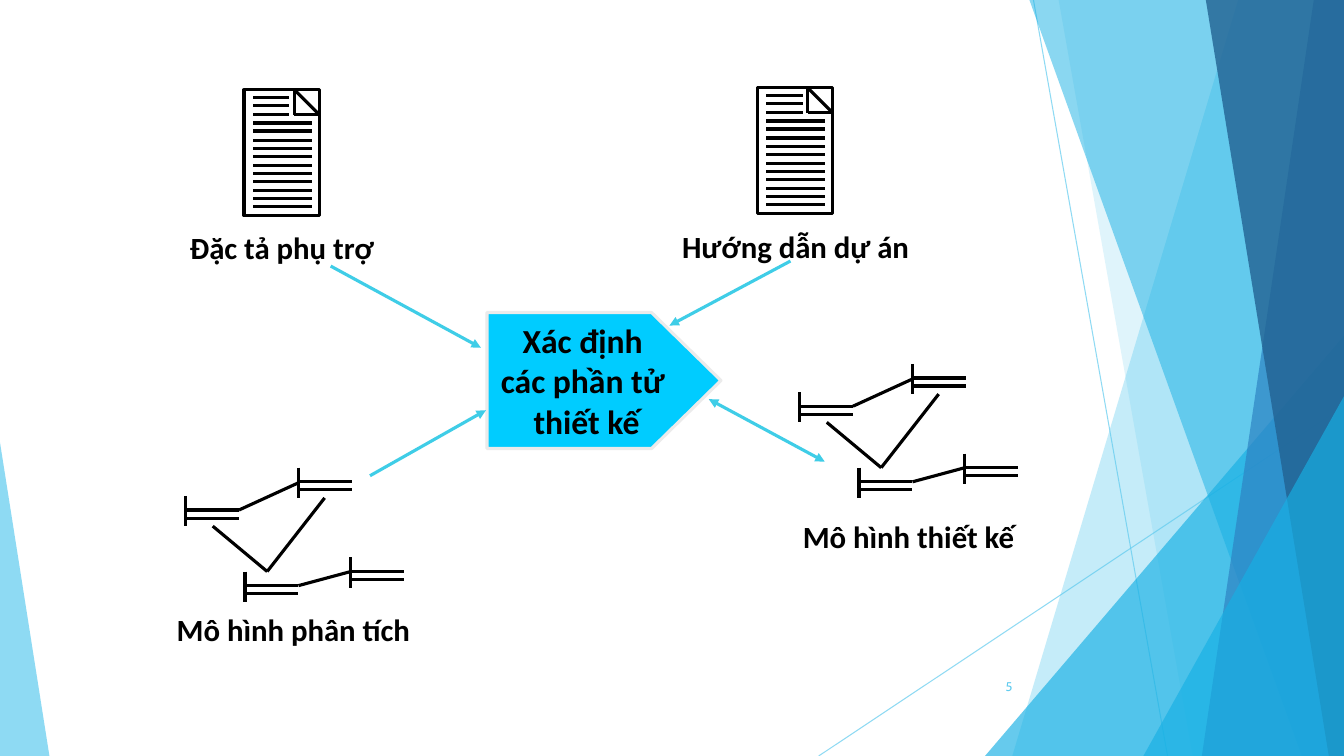
from dataclasses import dataclass
from typing import NamedTuple, Optional

from lxml.etree import SubElement
from pptx import Presentation
from pptx.dml.color import RGBColor
from pptx.enum.shapes import MSO_CONNECTOR, MSO_SHAPE
from pptx.enum.text import MSO_ANCHOR, MSO_AUTO_SIZE, PP_ALIGN
from pptx.oxml.ns import qn
from pptx.util import Pt

PX = 9144  # one hundredth of an inch
WIDTH, HEIGHT = 1333, 750


@dataclass(frozen=True)
class Theme:
    ink: str = "000000"
    arrow: str = "3FCDE7"
    step_fill: str = "00CCFF"
    step_line: str = "EBEBEB"
    sky: str = "5FCBEF"
    azure: str = "17B0E4"
    blue: str = "2E83C3"
    navy: str = "226292"
    font: str = "Calibri"
    number_font: str = "Cabin"
    label_size: int = 22
    step_size: int = 24
    number_size: int = 9
    stroke: float = 2.25
    hairline: float = 0.75


THEME = Theme()


class Point(NamedTuple):
    x: int
    y: int


class Box(NamedTuple):
    left: int
    top: int
    width: int
    height: int

    def emu(self) -> list[int]:
        return [value * PX for value in self]


class Band(NamedTuple):
    """Full-height facet that reaches the right edge of the slide."""
    top_x: int
    bottom_x: int
    color: str
    opacity: int


class Wedge(NamedTuple):
    box: Box
    apex: float
    color: str
    opacity: int


class Arrow(NamedTuple):
    tip: Point
    end: Point
    both: bool = False


class Artifact(NamedTuple):
    text: str
    label: Box
    icon: Point


FACETS = [
    Band(1228, 1004, THEME.sky, 36),
    Band(1050, 1183, THEME.sky, 20),
    Wedge(Box(977, 333, 356, 417), 1, THEME.azure, 66),
    Band(1021, 1291, THEME.azure, 50),
    Band(1303, 1192, THEME.blue, 70),
    Band(1196, 1318, THEME.navy, 80),
    Wedge(Box(1134, 393, 199, 357), 1, THEME.azure, 66),
    Wedge(Box(0, 439, 49, 311), 0, THEME.sky, 70),
]
RAYS = [(Point(1025, 0), Point(1158, HEIGHT)), (Point(WIDTH, 403), Point(812, HEIGHT))]

DOCUMENTS = [
    Artifact("Đặc tả phụ trợ", Box(177, 222, 205, 47), Point(242, 89)),
    Artifact("Hướng dẫn dự án", Box(665, 221, 248, 47), Point(751, 87)),
]
MODELS = [
    Artifact("Mô hình thiết kế", Box(785, 509, 232, 47), Point(793, 361)),
    Artifact("Mô hình phân tích", Box(164, 601, 254, 47), Point(184, 464)),
]
ARROWS = [
    Arrow(Point(818, 458), Point(703, 396), both=True),
    Arrow(Point(477, 345), Point(328, 264)),
    Arrow(Point(482, 407), Point(367, 472)),
    Arrow(Point(664, 323), Point(784, 259)),
]
STEP = Box(483, 310, 232, 135)
STEP_LINES = ["Xác định ", "các phần tử ", "thiết kế"]

# Icon parts, measured from the icon's top left corner
PAGE_WIDTH, PAGE_HEIGHT, FOLD = 75, 125, 25
ROW_COUNT, SHORT_ROWS = 14, 3
CLASSES = [Point(0, 28), Point(112, 0), Point(59, 103), Point(164, 89)]
RELATIONS = [
    (Point(81, 103), Point(27, 58)),
    (Point(53, 42), Point(112, 15)),
    (Point(112, 117), Point(164, 103)),
    (Point(81, 103), Point(138, 30)),
]


def set_opacity(shape, percent: int) -> None:
    for color in shape.element.spPr.iter(qn("a:srgbClr")):
        SubElement(color, qn("a:alpha"), val=str(percent * 1000))


def add_line(canvas, start: Point, end: Point, color: str = THEME.ink, weight: float = THEME.stroke):
    line = canvas.shapes.add_connector(
        MSO_CONNECTOR.STRAIGHT, start.x * PX, start.y * PX, end.x * PX, end.y * PX)
    line.line.color.rgb = RGBColor.from_string(color)
    line.line.width = Pt(weight)
    SubElement(line.element.spPr, qn("a:effectLst"))
    return line


def add_arrow(canvas, arrow: Arrow) -> None:
    line = add_line(canvas, arrow.tip, arrow.end, THEME.arrow)
    outline = line.element.spPr.find(qn("a:ln"))
    for tag in ["a:headEnd", "a:tailEnd"] if arrow.both else ["a:headEnd"]:
        SubElement(outline, qn(tag), type="triangle")


def add_facet(canvas, facet: Band | Wedge) -> None:
    if isinstance(facet, Band):
        outline = canvas.shapes.build_freeform(facet.top_x, 0, scale=PX)
        outline.add_line_segments([(WIDTH, 0), (WIDTH, HEIGHT), (facet.bottom_x, HEIGHT)])
        shape = outline.convert_to_shape()
    else:
        shape = canvas.shapes.add_shape(MSO_SHAPE.ISOSCELES_TRIANGLE, *facet.box.emu())
        shape.adjustments[0] = facet.apex
    shape.shadow.inherit = False
    shape.line.fill.background()
    shape.fill.solid()
    shape.fill.fore_color.rgb = RGBColor.from_string(facet.color)
    set_opacity(shape, facet.opacity)


def write(frame, lines: list[str], size: int, color: str = THEME.ink, font: str = THEME.font,
          bold: Optional[bool] = True, align: PP_ALIGN = PP_ALIGN.CENTER) -> None:
    for index, text in enumerate(lines):
        para = frame.add_paragraph() if index else frame.paragraphs[0]
        para.text = text
        para.alignment = align
        para.font.name = font
        para.font.size = Pt(size)
        para.font.bold = bold
        para.font.color.rgb = RGBColor.from_string(color)


def add_label(canvas, artifact: Artifact) -> None:
    frame = canvas.shapes.add_textbox(*artifact.label.emu()).text_frame
    frame.word_wrap = False
    frame.auto_size = MSO_AUTO_SIZE.SHAPE_TO_FIT_TEXT
    write(frame, [artifact.text], THEME.label_size)


def add_document(page, artifact: Artifact) -> None:
    group = page.shapes.add_group_shape()
    left, top = artifact.icon
    sheet = group.shapes.add_shape(
        MSO_SHAPE.RECTANGLE, *Box(left, top, PAGE_WIDTH, PAGE_HEIGHT).emu())
    sheet.shadow.inherit = False
    sheet.fill.background()
    sheet.line.color.rgb = RGBColor.from_string(THEME.ink)
    sheet.line.width = Pt(THEME.stroke)

    fold_top = Point(left + PAGE_WIDTH - FOLD, top)
    fold_inner = Point(fold_top.x, top + FOLD)
    fold_right = Point(left + PAGE_WIDTH, top + FOLD)
    for start, end in [(fold_top, fold_right), (fold_top, fold_inner), (fold_right, fold_inner)]:
        add_line(group, start, end)
    for row in range(ROW_COUNT):
        y = top + 8 + round(row * 25 / 3)
        length = 36 if row < SHORT_ROWS else 58
        add_line(group, Point(left + 9, y), Point(left + 9 + length, y))
    add_label(group, artifact)


def add_model(page, artifact: Artifact) -> None:
    group = page.shapes.add_group_shape()

    def connect(start: Point, end: Point) -> None:
        left, top = artifact.icon
        add_line(group, Point(left + start.x, top + start.y), Point(left + end.x, top + end.y))

    for x, y in CLASSES:
        connect(Point(x, y), Point(x, y + 30))
        for drop in (14, 22):
            connect(Point(x, y + drop), Point(x + 53, y + drop))
    for start, end in RELATIONS:
        connect(start, end)
    add_label(group, artifact)


def add_step(page) -> None:
    step = page.shapes.add_shape(MSO_SHAPE.PENTAGON, *STEP.emu())
    step.adjustments[0] = 0.51
    step.shadow.inherit = False
    step.fill.solid()
    step.fill.fore_color.rgb = RGBColor.from_string(THEME.step_fill)
    step.line.color.rgb = RGBColor.from_string(THEME.step_line)
    step.line.width = Pt(THEME.stroke)
    step.text_frame.word_wrap = False
    step.text_frame.vertical_anchor = MSO_ANCHOR.MIDDLE
    write(step.text_frame, STEP_LINES, THEME.step_size)


def add_page_number(page) -> None:
    frame = page.shapes.add_textbox(*Box(939, 661, 75, 40).emu()).text_frame
    frame.word_wrap = True
    frame.vertical_anchor = MSO_ANCHOR.MIDDLE
    write(frame, ["5"], THEME.number_size, THEME.sky, THEME.number_font, None, PP_ALIGN.RIGHT)


def main() -> None:
    deck = Presentation()
    deck.slide_width, deck.slide_height = WIDTH * PX, HEIGHT * PX
    page = deck.slides.add_slide(deck.slide_layouts[6])
    backdrop = page.shapes.add_group_shape()
    for start, end in RAYS:
        set_opacity(add_line(backdrop, start, end, THEME.sky, THEME.hairline), 70)
    for facet in FACETS:
        add_facet(backdrop, facet)
    for artifact in DOCUMENTS:
        add_document(page, artifact)
    add_step(page)
    for artifact in MODELS:
        add_model(page, artifact)
    for arrow in ARROWS:
        add_arrow(page, arrow)
    add_page_number(page)
    deck.save("out.pptx")


if __name__ == "__main__":
    main()
